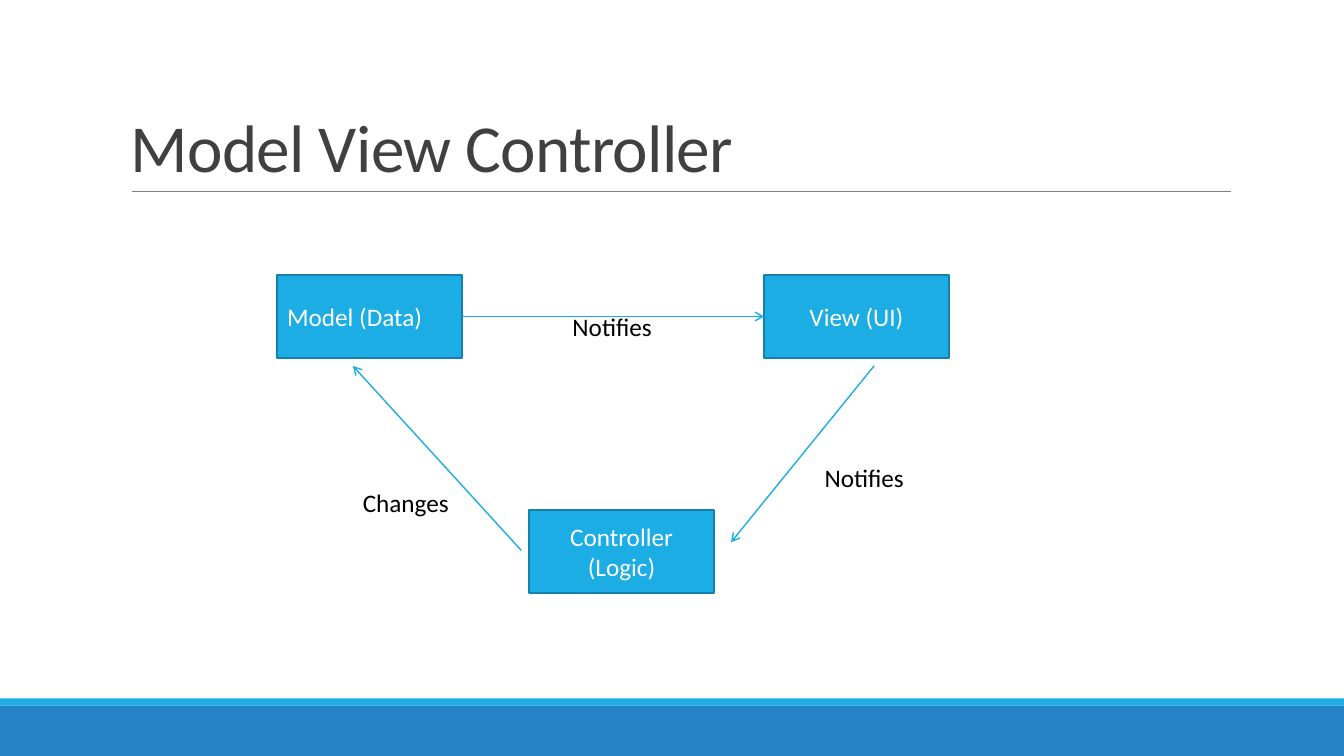
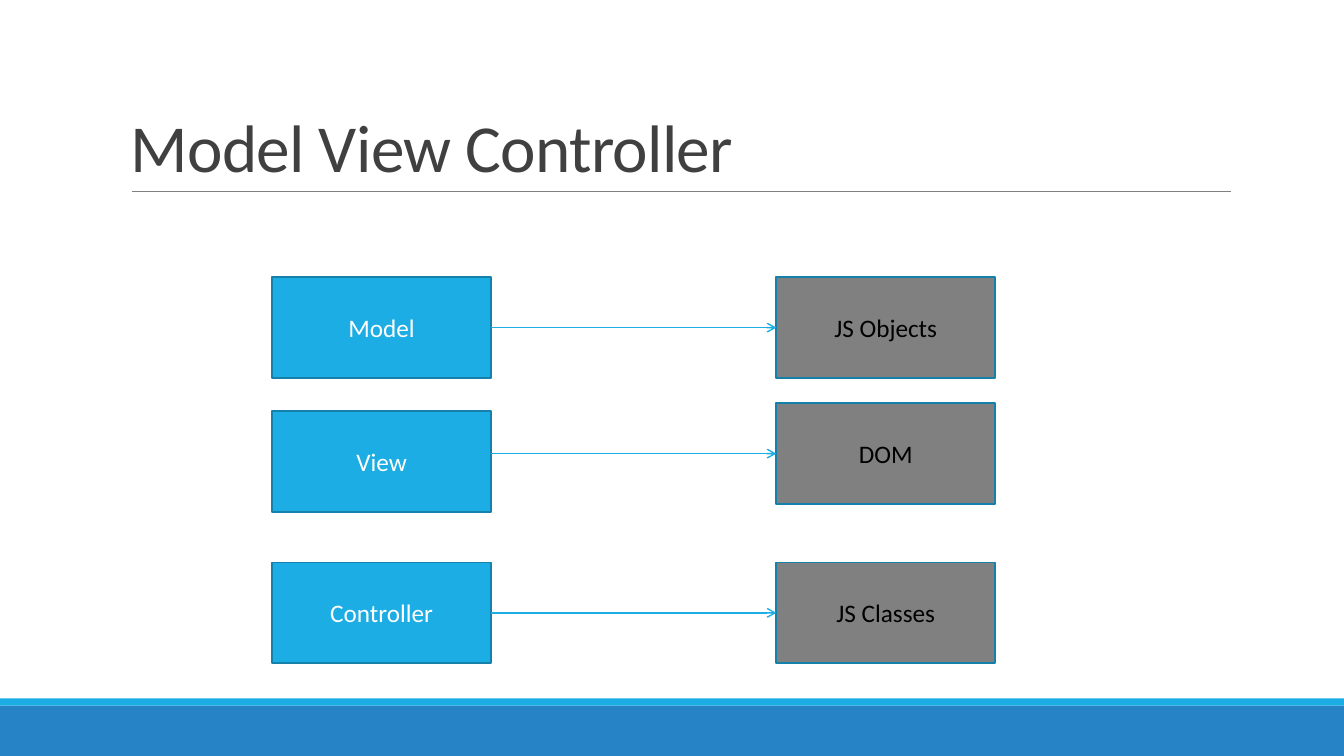
import pptx
import pptx.util
import pptx.dml.color
import pptx.enum.shapes
import pptx.enum.text
import lxml.etree

Inches = pptx.util.Inches
Pt = pptx.util.Pt
ALIGN = pptx.enum.text.PP_ALIGN
ANCHOR = pptx.enum.text.MSO_ANCHOR
KIND = pptx.enum.shapes.MSO_SHAPE
STRAIGHT = pptx.enum.shapes.MSO_CONNECTOR.STRAIGHT
NS = "{http://schemas.openxmlformats.org/drawingml/2006/main}"
FONT = "Calibri"
HUES = {
    "sky": "1CADE4",
    "blue": "2683C6",
    "edge": "1580A9",
    "gray": "808080",
    "dark": "404040",
    "black": "000000",
    "white": "FFFFFF",
}
WIDE, HIGH = 13.33, 7.5


def hue(name):
    """Return the named colour."""
    return pptx.dml.color.RGBColor.from_string(HUES[name])


def write(shape, text, size=18, color="black", align=ALIGN.LEFT,
          anchor=ANCHOR.TOP, wrap=True, lead=None, track=None):
    """Put formatted text into a shape."""
    frame = shape.text_frame
    frame.word_wrap = wrap
    frame.vertical_anchor = anchor
    para = frame.paragraphs[0]
    para.alignment = align
    if lead:
        para.line_spacing = lead
    run = para.add_run()
    run.text = text
    run.font.name = FONT
    run.font.size = Pt(size)
    run.font.color.rgb = hue(color)
    if track:
        run._r.get_or_add_rPr().set("spc", str(int(track * 100)))


def label(slide, text, x, y, w, h, **style):
    """Add a text box."""
    box = slide.shapes.add_textbox(Inches(x), Inches(y), Inches(w), Inches(h))
    write(box, text, **style)


def rect(slide, x, y, w, h, fill, edge=None):
    """Add a plain rectangle."""
    shape = slide.shapes.add_shape(
        KIND.RECTANGLE, Inches(x), Inches(y), Inches(w), Inches(h))
    shape.shadow.inherit = False
    shape.fill.solid()
    shape.fill.fore_color.rgb = hue(fill)
    if edge:
        shape.line.color.rgb = hue(edge)
        shape.line.width = Pt(1.25)
    else:
        shape.line.fill.background()
    return shape


def node(slide, text, x, y, w, h, fill="sky", color="white",
         align=ALIGN.CENTER):
    """Add a labelled diagram box."""
    shape = rect(slide, x, y, w, h, fill, "edge")
    write(shape, text, color=color, align=align, anchor=ANCHOR.MIDDLE)
    return shape


def line(slide, start, end, color="sky", width=1, arrow=True):
    """Add a straight line, with an arrowhead if asked."""
    link = slide.shapes.add_connector(
        STRAIGHT, *(Inches(v) for v in (*start, *end)))
    link.line.color.rgb = hue(color)
    link.line.width = Pt(width)
    if arrow:
        stroke = link.line._get_or_add_ln()
        lxml.etree.SubElement(stroke, NS + "tailEnd", type="arrow")
    lxml.etree.SubElement(link._element.spPr, NS + "effectLst")
    return link


def page(deck, title):
    """Add a slide with its bands, rule and title."""
    slide = deck.slides.add_slide(deck.slide_layouts[6])
    rect(slide, 0, 7, WIDE, 0.5, "blue")
    rect(slide, 0, 6.93, WIDE, 0.07, "sky")
    line(slide, (1.31, 1.9), (12.21, 1.9), "gray", 0.5, arrow=False)
    label(slide, title, 1.2, 0.31, 11, 1.59, size=48, color="dark",
          anchor=ANCHOR.BOTTOM, lead=0.85, track=-0.5)
    return slide


def cycle(slide, x, y):
    """Draw the triangle of parts from its top left corner."""
    w, h = 1.83, 0.82
    model = node(slide, "Model (Data)", x, y, w, h, align=ALIGN.LEFT)
    node(slide, "Controller (Logic)", x + 2.5, y + 2.33, w, h)
    view = node(slide, "View (UI)", x + 4.83, y, w, h)
    link = line(slide, (x + w, y + h / 2), (x + 4.83, y + h / 2))
    link.begin_connect(model, 3)
    link.end_connect(view, 1)
    line(slide, (x + 5.92, y + 0.9), (x + 4.5, y + 2.65))
    line(slide, (x + 2.42, y + 2.73), (x + 0.75, y + 0.9))
    for text, dx, dy, wide in (("Notifies", 2.83, 0.31, 1),
                               ("Notifies", 5.33, 1.81, 1),
                               ("Changes", 0.75, 2.06, 1.07)):
        label(slide, text, x + dx, y + dy, wide, 0.4, wrap=False)


def pairs(slide, x, y):
    """Draw each part beside its web form from the top left corner."""
    w, h, step = 2.17, 1, 5
    rows = (("Model", 0, "JS Objects", 0),
            ("View", 1.33, "DOM", 1.25),
            ("Controller", 2.83, "JS Classes", 2.83))
    for part, left, form, right in rows:
        first = node(slide, part, x, y + left, w, h)
        last = node(slide, form, x + step, y + right, w, h, "gray", "black")
        mid = y + right + h / 2
        link = line(slide, (x + w, mid), (x + step, mid))
        if left == right:
            link.begin_connect(first, 3)
        link.end_connect(last, 1)


def main():
    """Build and save the deck."""
    deck = pptx.Presentation()
    deck.slide_width = Inches(WIDE)
    deck.slide_height = Inches(HIGH)
    title = "Model View Controller"
    cycle(page(deck, title), 2.75, 2.73)
    pairs(page(deck, title), 2.7, 2.75)
    deck.save("out.pptx")


if __name__ == "__main__":
    main()
